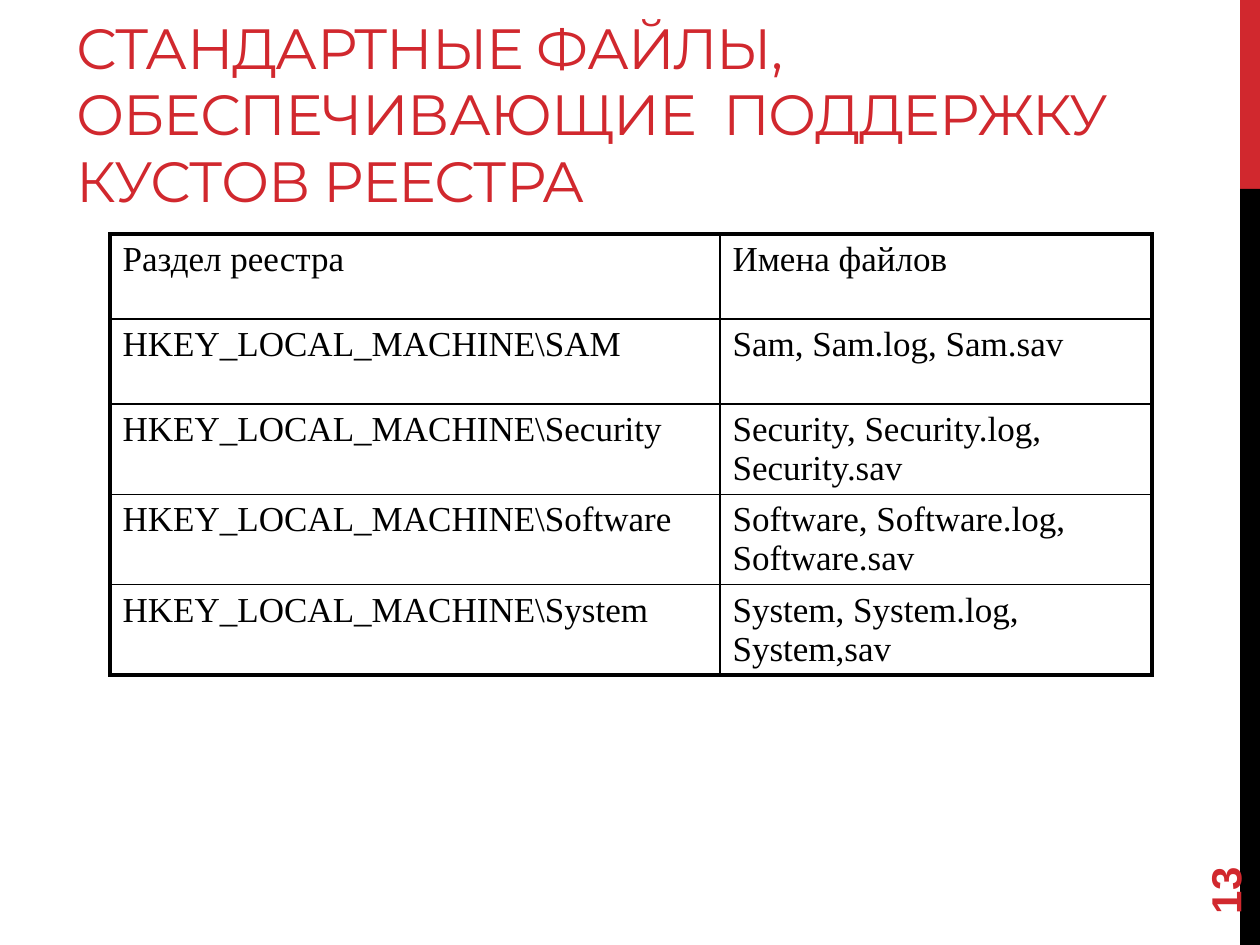
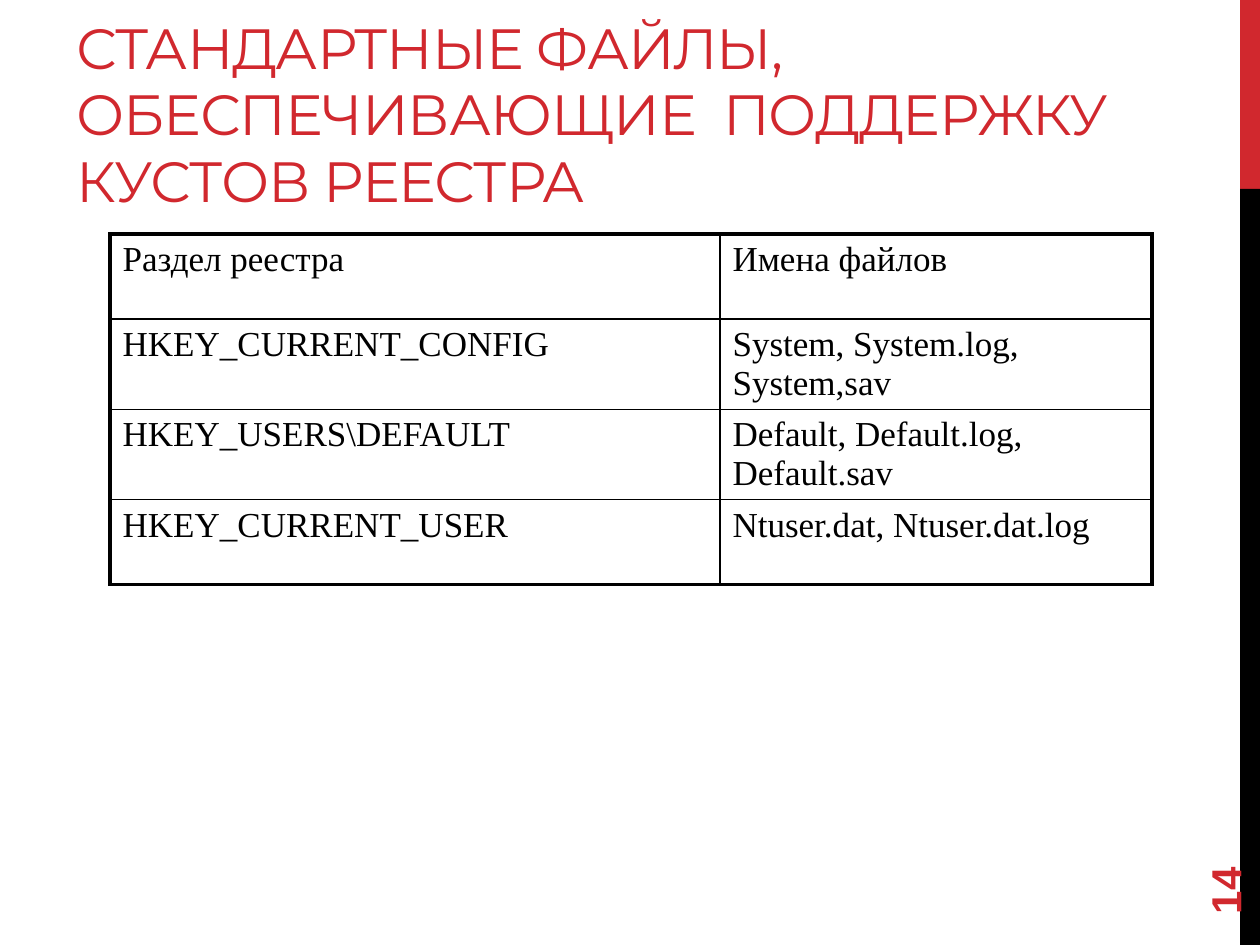
"""Build two slides listing the files that support the registry hives."""
from lxml.etree import SubElement
from pptx import Presentation
from pptx.dml.color import RGBColor
from pptx.enum.shapes import MSO_SHAPE
from pptx.enum.text import MSO_ANCHOR, MSO_AUTO_SIZE, PP_ALIGN
from pptx.oxml.ns import qn
from pptx.util import Emu, Pt

EMU_PER_PX = 914400 / 126
RED, BLACK = "D1282E", "000000"
HEADING = "СТАНДАРТНЫЕ ФАЙЛЫ, ОБЕСПЕЧИВАЮЩИЕ  ПОДДЕРЖКУ КУСТОВ РЕЕСТРА"
HEADER = ("Раздел реестра", "Имена файлов")
SYSTEM_FILES = "System, System.log, System,sav"
PAGES = [
    (13, 55, [
        ("HKEY_LOCAL_MACHINE\\SAM", "Sam, Sam.log, Sam.sav"),
        ("HKEY_LOCAL_MACHINE\\Security", "Security, Security.log, Security.sav"),
        ("HKEY_LOCAL_MACHINE\\Software", "Software, Software.log, Software.sav"),
        ("HKEY_LOCAL_MACHINE\\System", SYSTEM_FILES),
    ]),
    (14, 35, [
        ("HKEY_CURRENT_CONFIG", SYSTEM_FILES),
        ("HKEY_USERS\\DEFAULT", "Default, Default.log, Default.sav"),
        ("HKEY_CURRENT_USER", "Ntuser.dat, Ntuser.dat.log"),
    ]),
]


def px(length):
    return Emu(round(length * EMU_PER_PX))


def color(value):
    return RGBColor.from_string(value)


def style(target, values):
    for key, value in values.items():
        setattr(target, key, value)


class RegistryDeck:
    heading_font = {"name": "Montserrat", "size": Pt(32.4), "bold": False}
    cell_font = {"name": "Times New Roman", "size": Pt(20), "bold": False}
    number_font = {"name": "Arial", "size": Pt(24), "bold": True}
    heading_frame = {
        "auto_size": MSO_AUTO_SIZE.NONE, "word_wrap": True,
        "vertical_anchor": MSO_ANCHOR.BOTTOM, "margin_bottom": px(3),
    }
    number_frame = {"word_wrap": True, "vertical_anchor": MSO_ANCHOR.MIDDLE}
    thin, thick = 1, 2.25

    def __init__(self):
        self.deck = Presentation()
        style(self.deck, {"slide_width": px(1260), "slide_height": px(945)})
        self.slide = None

    def new_slide(self):
        self.slide = self.deck.slides.add_slide(self.deck.slide_layouts[5])

    def add_text(self, paragraph, text, font, fill):
        paragraph.alignment = PP_ALIGN.LEFT
        run = paragraph.add_run()
        run.text = text
        style(run.font, font)
        run.font.color.rgb = color(fill)
        return run

    def band(self, top, height, fill):
        stripe = self.slide.shapes.add_shape(
            MSO_SHAPE.RECTANGLE, px(1240), px(top), px(20), px(height))
        stripe.shadow.inherit = False
        stripe.fill.solid()
        stripe.fill.fore_color.rgb = color(fill)
        stripe.line.fill.background()

    def title(self, text, top, bottom=219):
        heading = self.slide.shapes.title
        style(heading, {"left": px(64), "top": px(top),
                        "width": px(1134), "height": px(bottom - top)})
        style(heading.text_frame, self.heading_frame)
        paragraph = heading.text_frame.paragraphs[0]
        paragraph.line_spacing = 0.98
        run = self.add_text(paragraph, text, self.heading_font, RED)
        run._r.get_or_add_rPr().set("spc", "-60")

    def borders(self, cell, widths):
        properties = cell._tc.get_or_add_tcPr()
        for side, width in widths.items():
            edge = SubElement(properties, qn(f"a:ln{side}"), w=str(Pt(width)))
            fill = SubElement(edge, qn("a:solidFill"))
            SubElement(fill, qn("a:srgbClr"), val=BLACK)

    def table(self, rows, columns=(610, 432), row_height=85):
        hives = self.slide.shapes.add_table(
            len(rows), len(columns), px(110), px(234),
            px(sum(columns)), px(row_height * len(rows))).table
        style(hives, {"first_row": False, "horz_banding": False})
        for column, width in zip(hives.columns, columns):
            column.width = px(width)
        last_row, last_column = len(rows) - 1, len(columns) - 1
        for r, texts in enumerate(rows):
            for c, text in enumerate(texts):
                cell = hives.cell(r, c)
                outer = {"L": c == 0, "R": c == last_column,
                         "T": r == 0, "B": r == last_row}
                self.borders(cell, {side: self.thick if edge else self.thin
                                    for side, edge in outer.items()})
                cell.fill.background()
                self.add_text(cell.text_frame.paragraphs[0], text, self.cell_font, BLACK)

    def page_number(self, number):
        box = self.slide.shapes.add_textbox(px(1134), px(811), px(181), px(50))
        box.rotation = 270
        style(box.text_frame, self.number_frame)
        self.add_text(box.text_frame.paragraphs[0], str(number), self.number_font, RED)


def main():
    registry = RegistryDeck()
    for number, title_top, hive_rows in PAGES:
        registry.new_slide()
        registry.band(0, 189, RED)
        registry.band(189, 756, BLACK)
        registry.title(HEADING, title_top)
        registry.table([HEADER, *hive_rows])
        registry.page_number(number)
    registry.deck.save("out.pptx")


if __name__ == "__main__":
    main()
